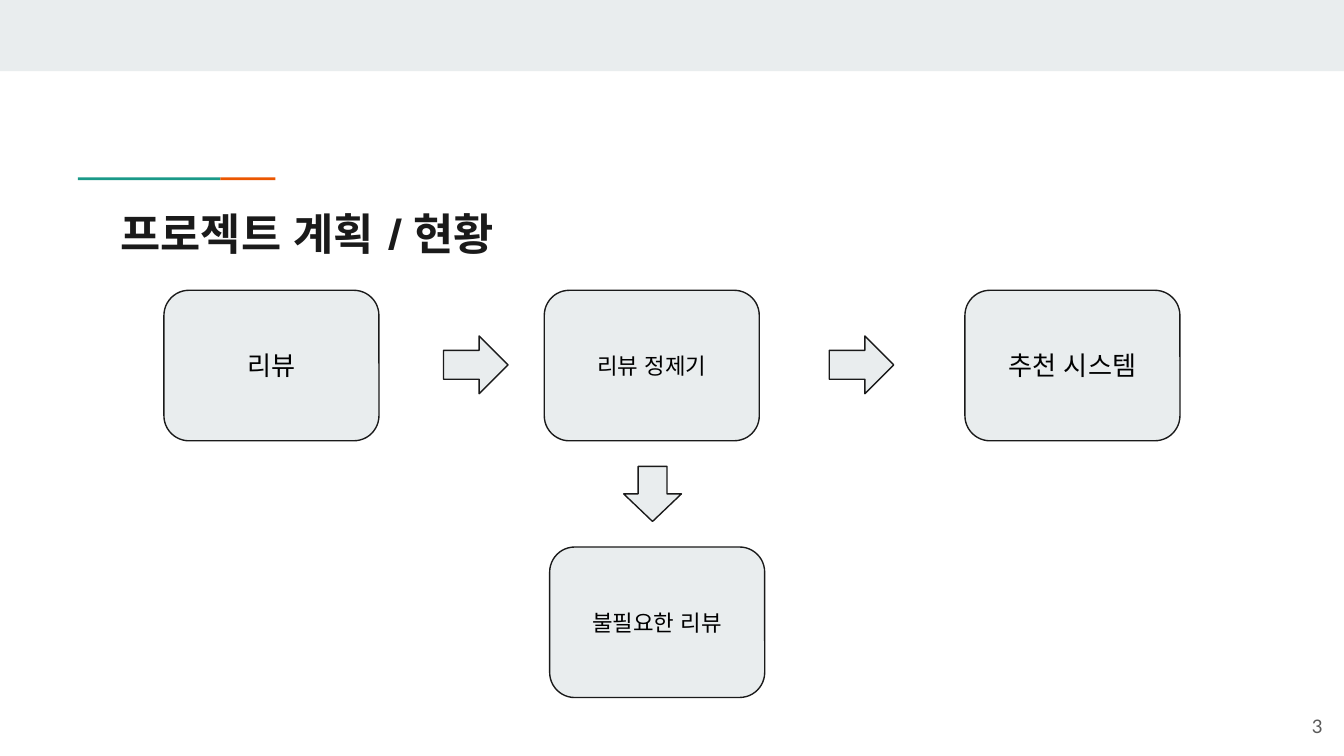
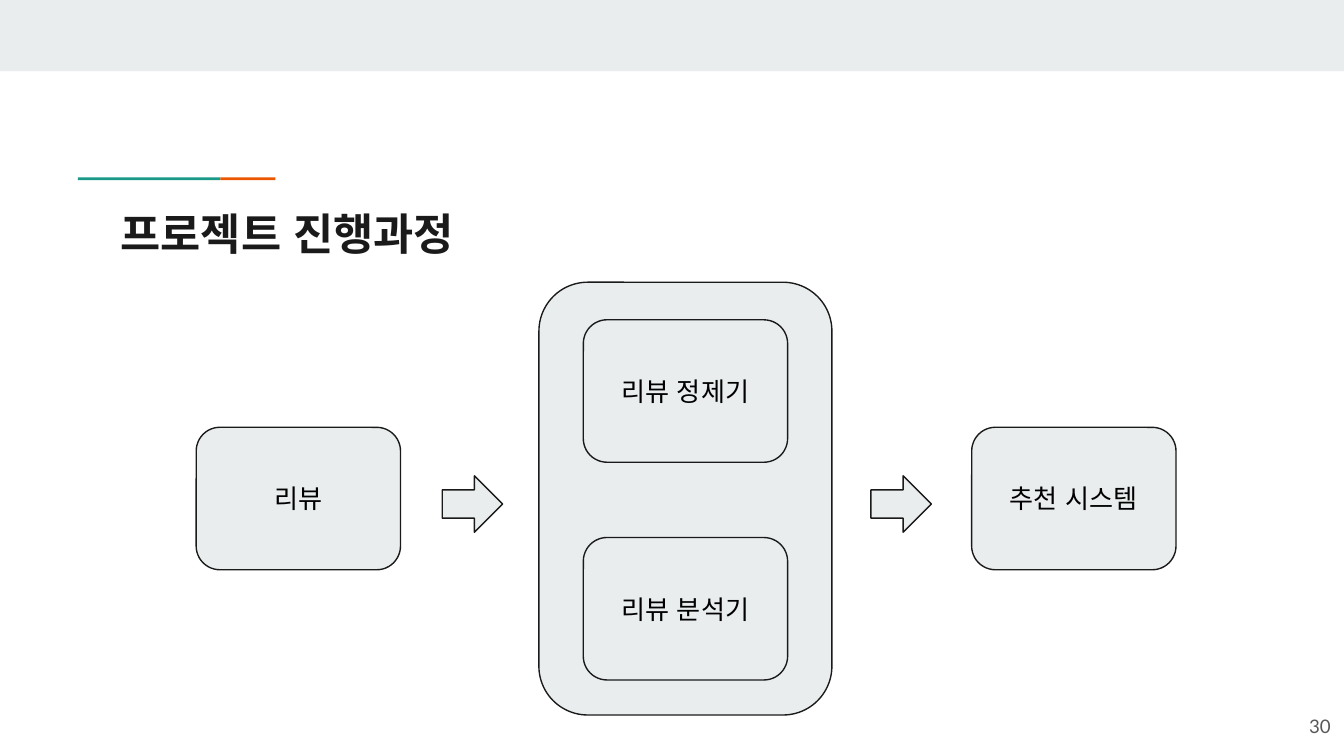
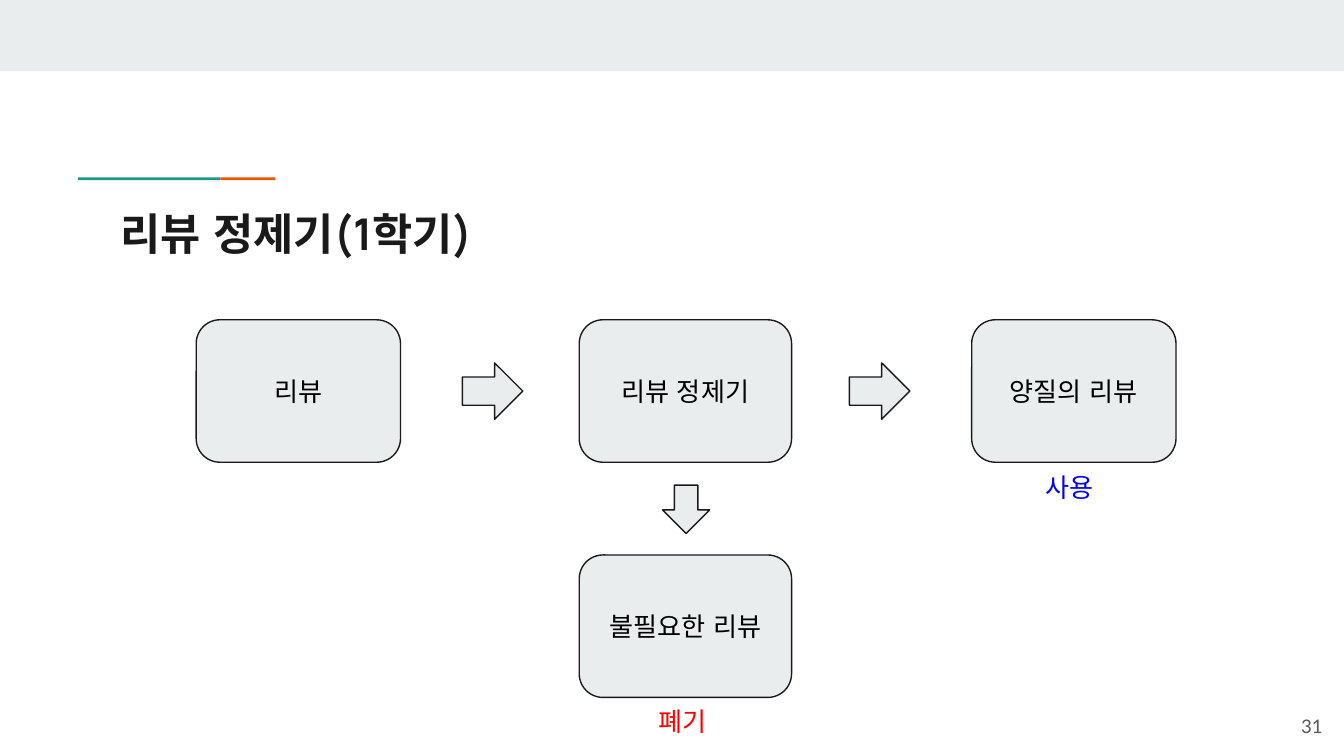
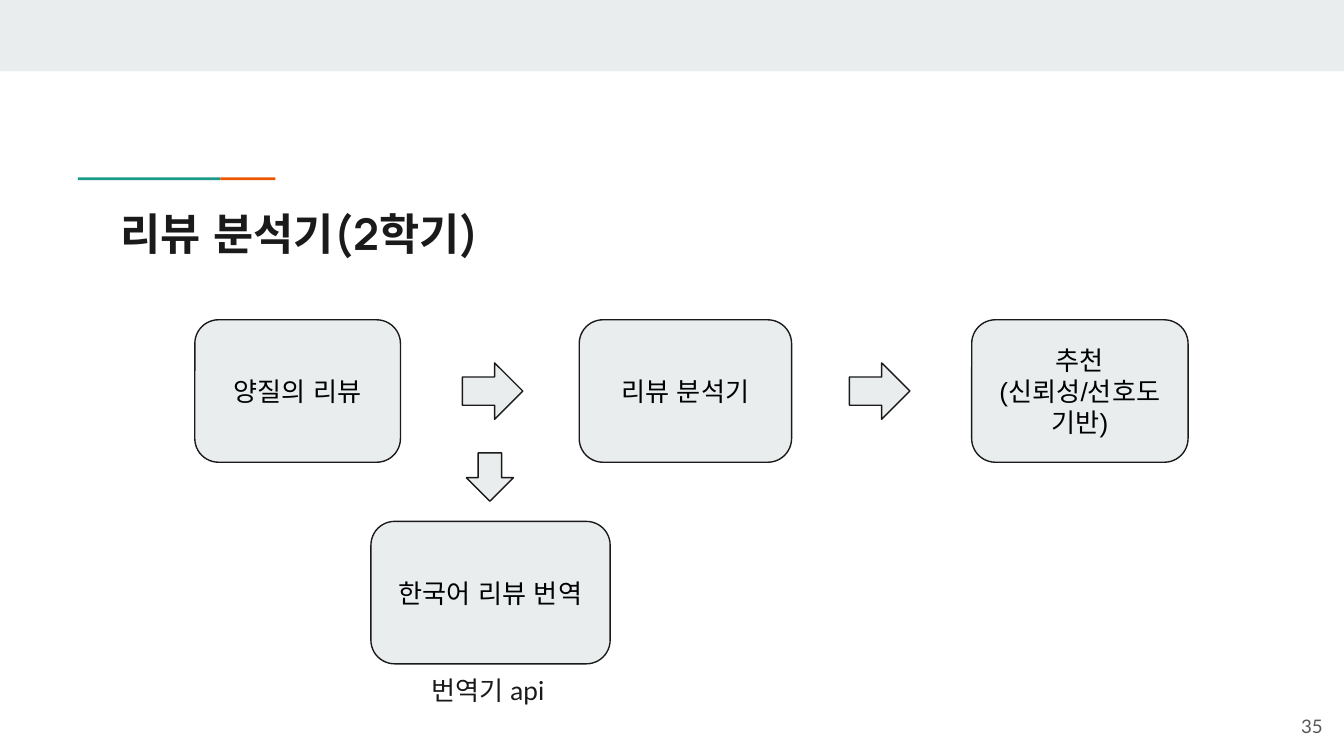
from lxml.etree import SubElement
from pptx import Presentation
from pptx.dml.color import RGBColor
from pptx.enum.shapes import MSO_SHAPE as Shape
from pptx.enum.text import MSO_ANCHOR as Anchor, MSO_AUTO_SIZE as AutoSize, PP_ALIGN as Align
from pptx.oxml.ns import qn
from pptx.util import Inches, Pt

# Shared colours and fonts
PALE, INK, BLACK, GREY = "E9EDEE", "1A1A1A", "000000", "595959"
TEAL, ORANGE, BLUE, RED = "1A9988", "EB5600", "0000FF", "FF0000"
TITLE_FONT, NODE_FONT, LABEL_FONT = "Manrope", "Arial", "Lato"
# Typeface of the Korean letters where it differs from the Latin one
KOREAN_FONTS = {TITLE_FONT: "Arial"}

# Shared sizes in inches: width, height
NODE = (1.52, 1.06)
WIDE_NODE = (1.58, 1.06)
RIGHT_ARROW = (0.45, 0.42)
DOWN_ARROW = (0.35, 0.36)


def color(value):
    return RGBColor.from_string(value)


def write(shape, text, font, size, hue, align=Align.LEFT, anchor=Anchor.TOP, bold=False):
    frame = shape.text_frame
    frame.word_wrap = True
    frame.vertical_anchor = anchor
    frame.margin_left = frame.margin_right = Inches(0.1)
    frame.margin_top = frame.margin_bottom = Inches(0.1)
    frame.text = text
    for para in frame.paragraphs:
        para.alignment = align
        for span in para.runs:
            span.font.name = font
            span.font.size = Pt(size)
            span.font.bold = bold
            span.font.color.rgb = color(hue)
            SubElement(span.font._element, qn("a:ea"), typeface=KOREAN_FONTS.get(font, font))


def add_text(page, left, top, width, height, *style, **options):
    box = page.shapes.add_textbox(Inches(left), Inches(top), Inches(width), Inches(height))
    write(box, *style, **options)
    return box


def add_block(page, kind, left, top, width, height, fill=PALE, outlined=True):
    block = page.shapes.add_shape(kind, Inches(left), Inches(top), Inches(width), Inches(height))
    block.shadow.inherit = False
    block.fill.solid()
    block.fill.fore_color.rgb = color(fill)
    if outlined:
        block.line.color.rgb = color(INK)
        block.line.width = Pt(0.75)
    else:
        block.line.fill.background()
    return block


def add_node(page, text, left, top, size=NODE, points=14):
    node = add_block(page, Shape.ROUNDED_RECTANGLE, left, top, *size)
    if text:
        write(node, text, NODE_FONT, points, BLACK, Align.CENTER, Anchor.MIDDLE)


def add_right_arrows(page, lefts, top, size=RIGHT_ARROW):
    for left in lefts:
        add_block(page, Shape.RIGHT_ARROW, left, top, *size)


def add_down_arrow(page, left, top):
    add_block(page, Shape.DOWN_ARROW, left, top, *DOWN_ARROW)


def add_label(page, text, left, top, width, hue):
    label = add_text(page, left, top, width, 0.44, text, LABEL_FONT, 14, hue)
    label.text_frame.auto_size = AutoSize.SHAPE_TO_FIT_TEXT


def add_page(deck, title, number, number_left=9.34):
    page = deck.slides.add_slide(deck.slide_layouts[6])
    # Top band and two-coloured rule above the title
    add_block(page, Shape.RECTANGLE, 0, 0, 10, 0.53, outlined=False)
    add_block(page, Shape.RECTANGLE, 0.58, 1.32, 1.06, 0.02, TEAL, outlined=False)
    add_block(page, Shape.RECTANGLE, 1.64, 1.32, 0.41, 0.02, ORANGE, outlined=False)
    add_text(page, 0.8, 1.44, 8.41, 0.59, title, TITLE_FONT, 23.4, INK, bold=True)
    add_text(page, number_left, 5.19, 0.6, 0.43, str(number), LABEL_FONT, 10, GREY,
             Align.RIGHT, Anchor.MIDDLE)
    return page


def build_plan(deck):
    page = add_page(deck, "프로젝트 계획 / 현황", 3)
    size = (1.6, 1.12)
    add_node(page, "리뷰", 1.22, 2.16, size)
    add_node(page, "리뷰 정제기", 4.05, 2.16, size, 12)
    add_node(page, "추천 시스템", 7.18, 2.16, size)
    add_node(page, "불필요한 리뷰", 4.09, 4.07, size, 12)
    add_right_arrows(page, (3.3, 6.17), 2.5, (0.48, 0.43))
    discard_arrow = add_block(page, Shape.RIGHT_ARROW, 4.65, 3.46, 0.41, 0.43)
    discard_arrow.rotation = 90


def build_process(deck):
    page = add_page(deck, "프로젝트 진행과정", 30, 9.4)
    add_node(page, "", 4.01, 2.1, (2.18, 3.22))
    add_node(page, "리뷰", 1.46, 3.18)
    add_node(page, "추천 시스템", 7.23, 3.18)
    add_node(page, "리뷰 정제기", 4.34, 2.38)
    add_node(page, "리뷰 분석기", 4.34, 4)
    add_right_arrows(page, (3.29, 6.48), 3.54)


def build_refiner(deck):
    page = add_page(deck, "리뷰 정제기(1학기)", 31)
    add_node(page, "리뷰", 1.46, 2.38)
    add_node(page, "양질의 리뷰", 7.23, 2.38)
    add_node(page, "리뷰 정제기", 4.31, 2.38, WIDE_NODE)
    add_node(page, "불필요한 리뷰", 4.31, 4.13, WIDE_NODE)
    add_right_arrows(page, (3.44, 6.32), 2.7)
    add_down_arrow(page, 4.93, 3.61)
    add_label(page, "사용", 7.68, 3.41, 0.6, BLUE)
    add_label(page, "폐기", 4.8, 5.15, 0.6, RED)


def build_analyzer(deck):
    page = add_page(deck, "리뷰 분석기(2학기)", 35)
    add_node(page, "양질의 리뷰", 1.45, 2.38, (1.53, 1.06))
    add_node(page, "추천\n(신뢰성/선호도 기반)", 7.23, 2.38, (1.61, 1.06))
    add_node(page, "리뷰 분석기", 4.31, 2.38, WIDE_NODE)
    add_node(page, "한국어 리뷰 번역", 2.76, 3.88, (1.78, 1.06))
    add_right_arrows(page, (3.44, 6.32), 2.7)
    add_down_arrow(page, 3.47, 3.37)
    add_label(page, "번역기 api", 3.11, 4.92, 1.14, INK)


def main():
    deck = Presentation()
    # Widescreen, 16 to 9
    deck.slide_width = Inches(10)
    deck.slide_height = Inches(10 * 9 / 16)
    for build in (build_plan, build_process, build_refiner, build_analyzer):
        build(deck)
    deck.save("out.pptx")


if __name__ == "__main__":
    main()
